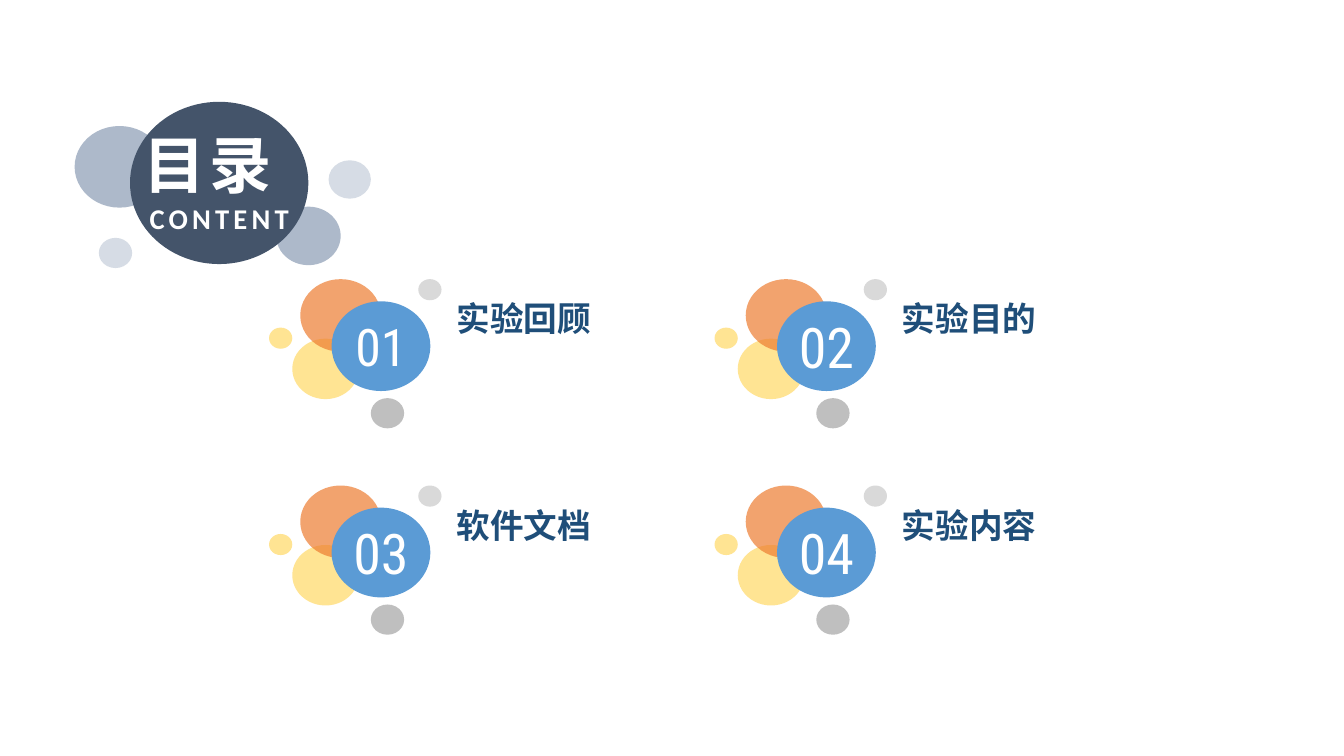
from dataclasses import dataclass

from lxml import etree
from pptx import Presentation
from pptx import util as u
from pptx.dml.color import RGBColor
from pptx.enum import shapes, text
from pptx.oxml import ns


@dataclass(frozen=True)
class Theme:
    """Colours, fonts and type sizes of the deck."""
    white: str = "FFFFFF"
    navy: str = "44546A"
    slate: str = "ADB9CA"
    mist: str = "D6DCE5"
    blue: str = "5B9BD5"
    orange: str = "ED7D31"
    yellow: str = "FFD966"
    grey: str = "A5A5A5"
    silver: str = "C9C9C9"
    label: str = "1F4E79"
    title_font: str = "Calibri"
    number_font: str = "Roboto Condensed"
    chinese_font: str = "Noto Sans CJK SC"
    title_size: float = 44.4
    subtitle_size: float = 20.4
    first_number_size: float = 37
    number_size: float = 40
    label_size: float = 24
    bubble_alpha: int = 70


THEME = Theme()

# Bubbles are listed back to front as left, top, width, height within their region.
HEADING_BUBBLES = [
    ((17.3, 97.2, 23.8, 21.6), THEME.mist),
    ((144, 74.9, 46.1, 41.8), THEME.slate),
    ((0, 17.3, 64.1, 58.3), THEME.slate),
    ((39.6, 0, 127.4, 115.9), THEME.navy),
    ((181.4, 41.8, 30.2, 27.4), THEME.mist),
]
TITLE_BOX = HEADING_BUBBLES[3][0]
ENTRY_BUBBLES = [
    ((16.6, 42.5, 47.5, 43.2), THEME.yellow),
    ((22.3, 0, 57.6, 51.8), THEME.orange),
    ((44.6, 15.8, 70.6, 64.1), THEME.blue),
    ((72.7, 85, 23.8, 21.6), THEME.grey),
    ((0, 34.6, 16.6, 15.1), THEME.yellow),
    ((106.6, 0, 16.6, 15.1), THEME.silver),
]
LABEL_BOX = (105.8, 0, 198, 42.5)


def place(origin, box):
    """Return a region's inner box as lengths on the slide."""
    left, top, width, height = box
    return [u.Pt(value) for value in (origin[0] + left, origin[1] + top, width, height)]


def add_bubble(group, origin, box, colour, alpha=100):
    """Add a plain ellipse, see-through when alpha is below 100."""
    bubble = group.shapes.add_shape(shapes.MSO_SHAPE.OVAL, *place(origin, box))
    bubble.shadow.inherit = False
    bubble.line.fill.background()
    bubble.fill.solid()
    bubble.fill.fore_color.rgb = RGBColor.from_string(colour)
    if alpha < 100:
        tint = bubble.element.spPr.find(".//" + ns.qn("a:srgbClr"))
        etree.SubElement(tint, ns.qn("a:alpha"), val=str(alpha * 1000))
    return bubble


def set_frame(frame, anchor, left=0, bottom=0):
    """Turn off wrapping and fitting, and set the anchor and insets."""
    frame.word_wrap = False
    frame.auto_size = text.MSO_AUTO_SIZE.NONE
    frame.vertical_anchor = anchor
    frame.margin_left, frame.margin_bottom = u.Pt(left), u.Pt(bottom)
    frame.margin_top = frame.margin_right = 0


def style(span, font, size, colour, bold=False):
    """Format one run, with the Chinese font for East Asian text."""
    span.font.name = font
    span.font.size = u.Pt(size)
    span.font.bold = bold
    span.font.color.rgb = RGBColor.from_string(colour)
    latin = span.font._element.find(ns.qn("a:latin"))
    latin.addnext(latin.makeelement(ns.qn("a:ea"), typeface=THEME.chinese_font))


def add_heading(page, origin):
    """Draw the heading bubbles and set the title over the dark one."""
    group = page.shapes.add_group_shape()
    for box, colour in HEADING_BUBBLES:
        add_bubble(group, origin, box, colour)
    title = page.shapes.title
    title.left, title.top, title.width, title.height = place(origin, TITLE_BOX)
    group.element.addnext(title.element)
    frame = title.text_frame
    frame.text = "目录 \vCONTENT"
    set_frame(frame, text.MSO_ANCHOR.BOTTOM, bottom=20.6)
    para = frame.paragraphs[0]
    para.alignment = text.PP_ALIGN.CENTER
    for span, size in zip(para.runs, (THEME.title_size, THEME.subtitle_size)):
        style(span, THEME.title_font, size, THEME.white, bold=True)
        span.font._element.set("spc", "300")


def add_entry(page, origin, number, caption):
    """Draw one numbered bubble cluster with its caption."""
    group = page.shapes.add_group_shape()
    for box, colour in ENTRY_BUBBLES:
        numbered = colour == THEME.blue
        bubble = add_bubble(group, origin, box, colour,
                            100 if numbered else THEME.bubble_alpha)
        if numbered:
            frame = bubble.text_frame
            frame.text = f"{number:02d}"
            set_frame(frame, text.MSO_ANCHOR.MIDDLE)
            para = frame.paragraphs[0]
            para.alignment = text.PP_ALIGN.CENTER
            size = THEME.first_number_size if number == 1 else THEME.number_size
            style(para.runs[0], THEME.number_font, size, THEME.white)
    label = group.shapes.add_textbox(*place(origin, LABEL_BOX))
    label.text_frame.text = caption
    set_frame(label.text_frame, text.MSO_ANCHOR.BOTTOM, left=28.1)
    style(label.text_frame.paragraphs[0].runs[0], THEME.chinese_font,
          THEME.label_size, THEME.label, bold=True)


def add_entries(page, origin, captions, columns=2, pitch=(318.2, 147.4)):
    """Lay the contents entries out in a grid, row by row."""
    for index, caption in enumerate(captions):
        row, column = divmod(index, columns)
        corner = (origin[0] + column * pitch[0], origin[1] + row * pitch[1])
        add_entry(page, corner, index + 1, caption)


def build_contents(deck):
    """Add the contents slide."""
    page = deck.slides.add_slide(deck.slide_layouts.get_by_name("Title Only"))
    add_entries(page, (192.2, 199.4), ["实验回顾", "实验目的", "软件文档", "实验内容"])
    add_heading(page, (53.3, 72.7))


deck = Presentation()
deck.slide_width, deck.slide_height = u.Pt(960), u.Pt(540)
build_contents(deck)
deck.save("out.pptx")
